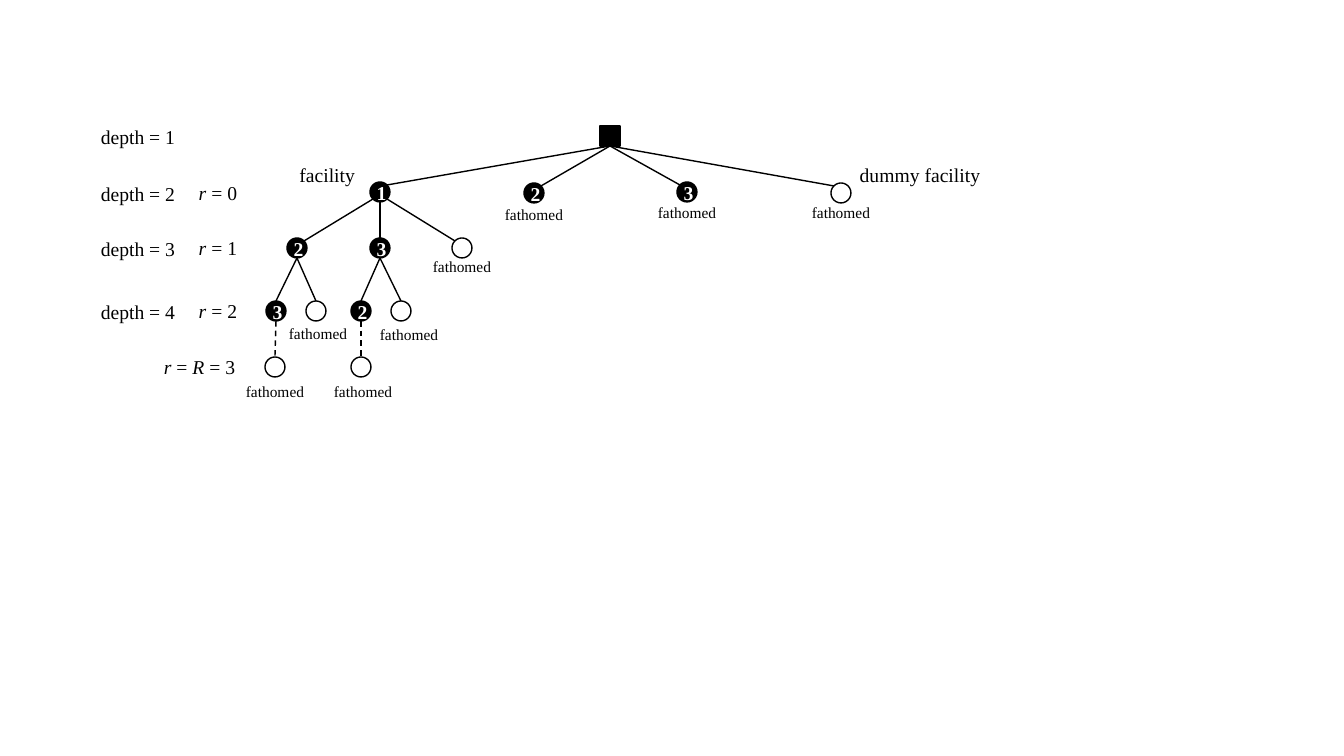
"""Branch-and-bound tree of facility choices, with depth and r labels."""
from lxml.etree import SubElement
from pptx import Presentation
from pptx.dml.color import RGBColor
from pptx.enum.dml import MSO_LINE
from pptx.enum.shapes import MSO_CONNECTOR, MSO_SHAPE
from pptx.enum.text import MSO_ANCHOR, MSO_AUTO_SIZE, PP_ALIGN
from pptx.oxml.ns import qn
from pptx.util import Pt

SCALE = 914400 / 100.8
BLACK = RGBColor(0, 0, 0)
WHITE = RGBColor(255, 255, 255)
RADIUS = 10
DIAGONAL = 7


def emu(*pixels):
    return [round(value * SCALE) for value in pixels]


def write(box, text, size=14, color=BLACK, align=PP_ALIGN.CENTER, bold=False):
    """Fill a box with one paragraph; the variables r and R turn italic."""
    para = box.text_frame.paragraphs[0]
    para.alignment = align
    para.font.name = "Times New Roman"
    para.font.size = Pt(size)
    para.font.bold = bold
    para.font.color.rgb = color
    pieces = text.replace("=", "|=").split("|") if text.startswith("r ") else [text]
    for piece in pieces:
        equals, variable = piece[:2], piece[2:]
        parts = [equals, variable] if variable.startswith("R") else [piece]
        for part in parts:
            span = para.add_run()
            span.text = part
            if part in ("r ", "R "):
                span.font.italic = True


deck = Presentation()
deck.slide_width, deck.slide_height = emu(1344, 756)
page = deck.slides.add_slide(deck.slide_layouts[6])

root = (610, 146)
nodes = {
    "1": (380, 192), "2": (534, 193), "3": (687, 192), "dummy": (841, 193),
    "1-2": (297, 248), "1-3": (380, 248), "1-dummy": (462, 248),
    "1-2-3": (276, 311), "1-2-dummy": (316, 311),
    "1-3-2": (361, 311), "1-3-dummy": (401, 311),
    "1-2-3-dummy": (275, 367), "1-3-2-dummy": (361, 367),
}

square = page.shapes.add_shape(MSO_SHAPE.FLOWCHART_PROCESS, *emu(600, 126, 20, 20))
square.shadow.inherit = False
square.fill.solid()
square.fill.fore_color.rgb = BLACK
square.line.color.rgb = BLACK
square.line.width = Pt(1.5)

for name, (x, y) in nodes.items():
    *ancestors, label = name.split("-")
    depth = len(ancestors)
    start_x, start_y = nodes["-".join(ancestors)] if ancestors else root
    side = (x > start_x) - (x < start_x)
    if depth == 0:
        ends = (start_x, start_y, x - side * DIAGONAL, y - DIAGONAL)
    elif depth == 1 and side:
        shift = side * DIAGONAL
        ends = (start_x + shift, start_y + DIAGONAL, x - shift, y - DIAGONAL)
    else:
        ends = (start_x, start_y + RADIUS, x, y - RADIUS)
    edge = page.shapes.add_connector(MSO_CONNECTOR.STRAIGHT, *emu(*ends))
    edge.line.color.rgb = BLACK
    edge.line.width = Pt(1)
    if depth == 3:
        edge.line.dash_style = MSO_LINE.DASH
    SubElement(edge._element.spPr, qn("a:effectLst"))

    node = page.shapes.add_shape(
        MSO_SHAPE.FLOWCHART_CONNECTOR,
        *emu(x - RADIUS, y - RADIUS, 2 * RADIUS, 2 * RADIUS))
    node.shadow.inherit = False
    node.fill.solid()
    node.fill.fore_color.rgb = WHITE if label == "dummy" else BLACK
    node.line.color.rgb = BLACK
    node.line.width = Pt(1)
    if label != "dummy":
        frame = node.text_frame
        frame.word_wrap = False
        frame.vertical_anchor = MSO_ANCHOR.MIDDLE
        frame.margin_right = frame.margin_bottom = 0
        frame.margin_left, frame.margin_top = emu(3, 2)
        write(node, label, color=WHITE, bold=True)

labels = [("facility", 207, 158, 158, 14, PP_ALIGN.RIGHT),
          ("dummy facility", 841, 158, 158, 14, PP_ALIGN.CENTER),
          ("r = R = 3", 150, 350, 99, 14, PP_ALIGN.CENTER)]
for number, top in enumerate((120, 177, 232, 295), 1):
    labels.append((f"depth = {number}", 87, top, 102, 14, PP_ALIGN.CENTER))
    if number > 1:
        labels.append((f"r = {number - 2}", 187, top - 1, 62, 14, PP_ALIGN.CENTER))
for center, top in ((534, 200), (687, 198), (841, 198), (462, 252),
                    (409, 320), (275, 377), (363, 377), (318, 319)):
    labels.append(("fathomed", center - 48, top, 96, 11, PP_ALIGN.CENTER))

for text, left, top, width, size, align in labels:
    box = page.shapes.add_textbox(*emu(left, top, width, 34 if size == 14 else 29))
    box.text_frame.word_wrap = True
    box.text_frame.auto_size = MSO_AUTO_SIZE.SHAPE_TO_FIT_TEXT
    write(box, text, size, align=align)

deck.save("out.pptx")
